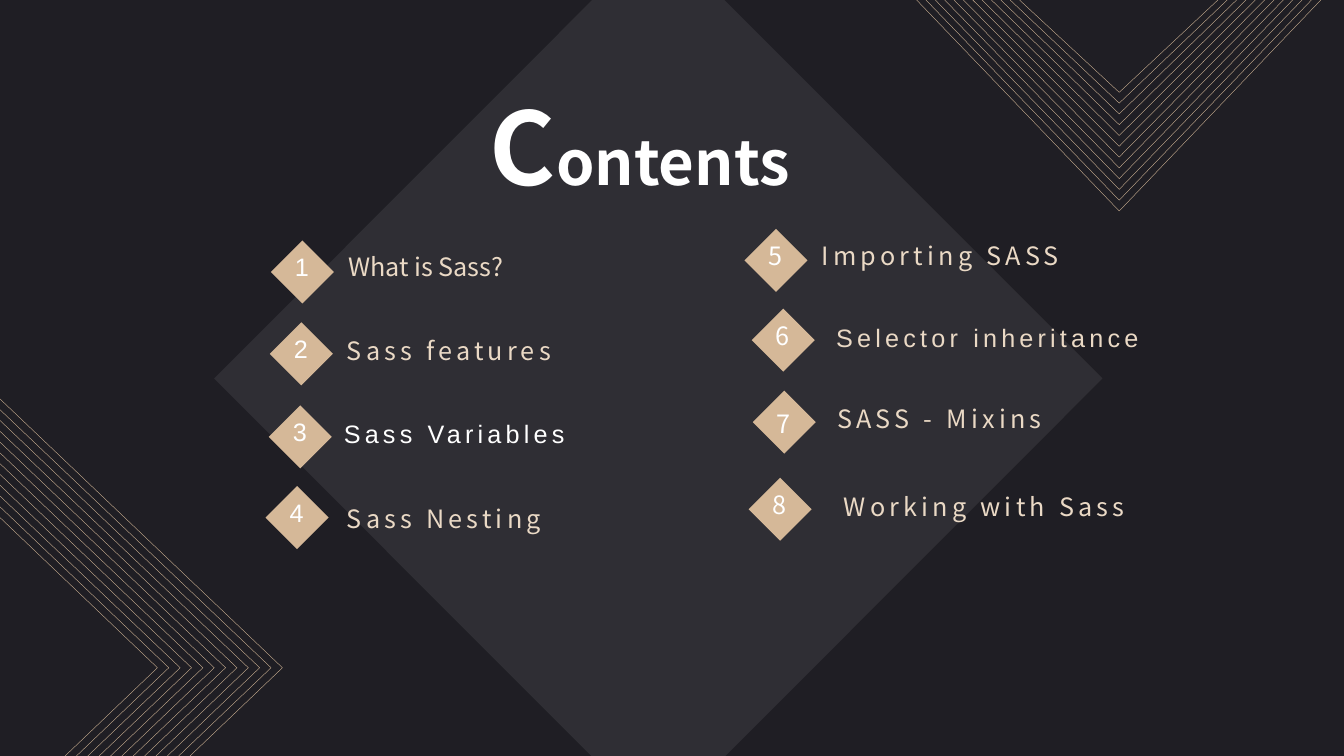
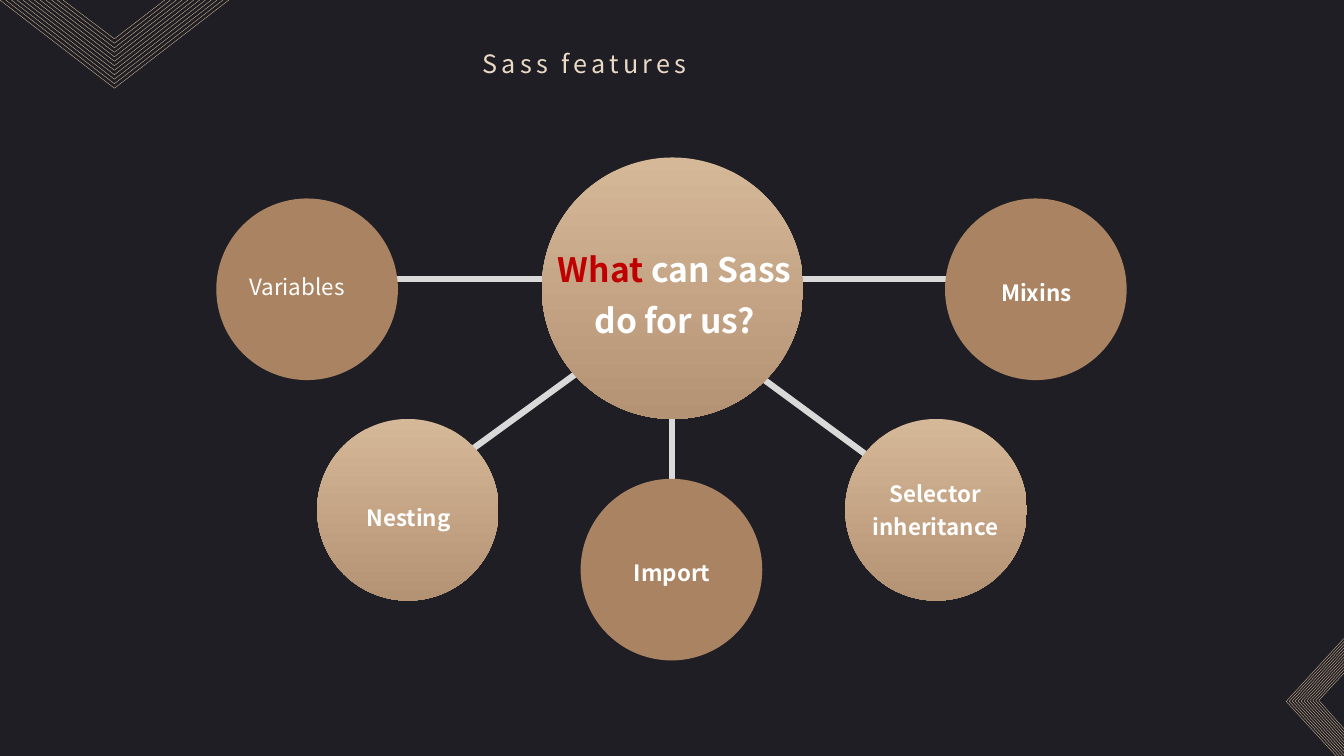
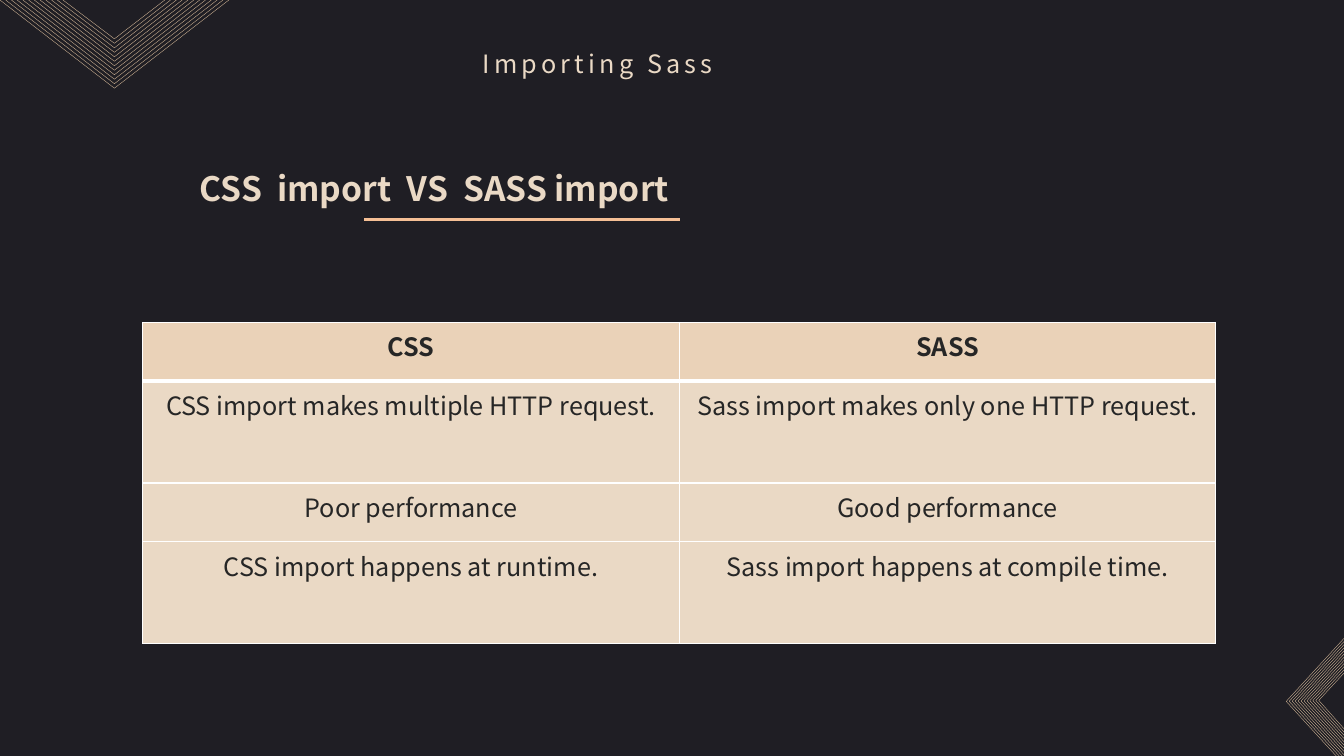
from dataclasses import dataclass

import lxml.etree
import pptx
import pptx.dml.color
import pptx.enum.shapes
import pptx.enum.text
import pptx.oxml.ns
import pptx.util

ALIGN = pptx.enum.text.PP_ALIGN
SHAPE = pptx.enum.shapes.MSO_SHAPE
qn = pptx.oxml.ns.qn


@dataclass(frozen=True)
class Theme:
    background: str = "1F1E24"
    white: str = "FFFFFF"
    cream: str = "EAD9C5"
    sand: str = "D5B898"
    tan: str = "B49374"
    brown: str = "AA8462"
    mist: str = "EEEEF0"
    spoke: str = "D9D9D9"
    accent: str = "C00000"
    underline: str = "F5BF95"
    header: str = "EAD2B8"
    ink: str = "262626"
    sans: str = "Noto Sans CJK SC"
    arial: str = "Arial"
    initial: int = 72
    display: int = 44
    heading: int = 24
    body: int = 18
    label: int = 16


THEME = Theme()


@dataclass(frozen=True)
class Entry:
    left: int
    top: int
    text: str
    label_box: tuple
    number_font: str = THEME.sans
    font: str = THEME.sans
    color: str = THEME.cream
    spacing: int = 3
    align: int = ALIGN.LEFT
    line_spacing: float = 1.0
    number_top: int = 6


@dataclass(frozen=True)
class Satellite:
    left: int
    top: int
    text: str
    label_box: tuple
    shaded: bool = False
    bold: bool = True
    align: int = ALIGN.CENTER
    line_spacing: float = 1.25


ENTRIES = (
    Entry(258, 229, "What is Sass?", (64, 6, 321, 68), THEME.arial, spacing=0),
    Entry(257, 307, "Sass features", (64, 8, 321, 68), THEME.arial),
    Entry(256, 386, "Sass Variables", (62, -7, 258, 97), THEME.arial,
          font=THEME.arial, color=THEME.white, line_spacing=1.5),
    Entry(253, 463, "Sass Nesting", (68, 12, 292, 38), THEME.arial),
    Entry(709, 218, "Importing SASS", (64, 6, 321, 68)),
    Entry(716, 294, "Selector inheritance", (64, 8, 321, 84),
          font=THEME.arial, align=ALIGN.CENTER),
    Entry(717, 372, "SASS - Mixins", (71, -7, 258, 113),
          line_spacing=1.5, number_top=12),
    Entry(713, 455, "Working with Sass", (64, 8, 321, 38), align=ALIGN.CENTER),
)

SATELLITES = (
    Satellite(900, 189, "Mixins", (16, 66, 142, 39)),
    Satellite(206, 189, "Variables", (22, 66, 142, 39),
              bold=False, align=ALIGN.LEFT, line_spacing=1.0),
    Satellite(553, 456, "Import", (16, 65, 142, 39)),
    Satellite(805, 399, "Selector inheritance", (15, 47, 142, 71), shaded=True),
    Satellite(302, 399, "Nesting", (16, 70, 142, 39), shaded=True),
)

SPOKES = (
    (640, 275, 640, 574),
    (682, 328, 901, 489),
    (378, 480, 598, 320),
    (302, 266, 977, 266),
)

COMPARISON = (
    ("CSS", "SASS"),
    ("CSS import makes multiple HTTP request.", "Sass import makes only one HTTP request."),
    ("Poor performance", "Good performance"),
    ("CSS import happens at runtime.", "Sass import happens at compile time."),
)


def px(length):
    return pptx.util.Emu(round(length * 9525))


def rgb(color):
    return pptx.dml.color.RGBColor.from_string(color)


def inside(box, offset):
    return box[0] + offset[0], box[1] + offset[1], offset[2], offset[3]


def add_run(paragraph, text, size, color, bold=False, font=THEME.sans, spacing=0):
    run = paragraph.add_run()
    run.text = text
    run.font.name = font
    run.font.size = pptx.util.Pt(size)
    run.font.bold = bold
    run.font.color.rgb = rgb(color)
    if spacing:
        run._r.get_or_add_rPr().set("spc", str(spacing * 100))


def prepare_frame(shape, align, line_spacing=1.0, wrap=True):
    frame = shape.text_frame
    frame.word_wrap = wrap
    frame.auto_size = pptx.enum.text.MSO_AUTO_SIZE.NONE
    frame.vertical_anchor = pptx.enum.text.MSO_ANCHOR.TOP
    paragraph = frame.paragraphs[0]
    paragraph.alignment = align
    paragraph.line_spacing = line_spacing
    return paragraph


def add_text(shapes, box, align=ALIGN.LEFT, line_spacing=1.0):
    return prepare_frame(shapes.add_textbox(*map(px, box)), align, line_spacing)


def place_title(slide, box, wrap=True):
    title = slide.shapes.title
    title.left, title.top, title.width, title.height = map(px, box)
    return prepare_frame(title, ALIGN.LEFT, wrap=wrap)


def add_plain_shape(shapes, kind, box, color, opacity=None):
    shape = shapes.add_shape(kind, *map(px, box))
    shape.shadow.inherit = False
    shape.line.fill.background()
    shape.fill.solid()
    shape.fill.fore_color.rgb = rgb(color)
    if opacity is not None:
        color_element = shape._element.spPr.find(".//" + qn("a:srgbClr"))
        lxml.etree.SubElement(color_element, qn("a:alpha"), val=str(opacity * 1000))
    return shape


def shade(shape):
    shape.fill.gradient()
    shape.fill.gradient_angle = 270
    for position, (stop, color) in enumerate(zip(shape.fill.gradient_stops, (THEME.sand, THEME.tan))):
        stop.position = position
        stop.color.rgb = rgb(color)


def add_line(slide, ends, color, width):
    line = slide.shapes.add_connector(pptx.enum.shapes.MSO_CONNECTOR.STRAIGHT, *map(px, ends))
    line.line.color.rgb = rgb(color)
    line.line.width = pptx.util.Pt(width)
    lxml.etree.SubElement(line._element.spPr, qn("a:effectLst"))


def add_chevron(slide, left, top, outer, inner, count=12):
    builder = None
    for index in range(count):
        share = index / (count - 1)
        points = [
            (px(left + x + (inner_x - x) * share), px(top + y + (inner_y - y) * share))
            for (x, y), (inner_x, inner_y) in zip(outer, inner)
        ]
        if builder is None:
            builder = slide.shapes.build_freeform(*points[0], scale=1.0)
        else:
            builder.move_to(*points[0])
        builder.add_line_segments(points[1:], close=False)
    chevron = builder.convert_to_shape()
    chevron.shadow.inherit = False
    chevron.fill.background()
    chevron.line.color.rgb = rgb(THEME.sand)
    chevron.line.width = pptx.util.Pt(0.25)


def add_entry(slide, number, entry):
    group = slide.shapes.add_group_shape().shapes
    box = (entry.left, entry.top, 60, 60)
    add_plain_shape(group, SHAPE.DIAMOND, box, THEME.sand)
    paragraph = add_text(group, inside(box, (11, entry.number_top, 37, 38)), ALIGN.CENTER)
    add_run(paragraph, str(number), THEME.body, THEME.white, font=entry.number_font)
    paragraph = add_text(group, inside(box, entry.label_box), entry.align, entry.line_spacing)
    add_run(paragraph, entry.text, THEME.body, entry.color, font=entry.font, spacing=entry.spacing)


def add_satellite(slide, satellite):
    box = (satellite.left, satellite.top, 173, 173)
    circle = add_plain_shape(slide.shapes, SHAPE.OVAL, box, THEME.brown)
    if satellite.shaded:
        shade(circle)
    paragraph = add_text(slide.shapes, inside(box, satellite.label_box),
                         satellite.align, satellite.line_spacing)
    add_run(paragraph, satellite.text, THEME.label, THEME.white, bold=satellite.bold)


def add_hub(slide, box):
    shade(add_plain_shape(slide.shapes, SHAPE.OVAL, box, THEME.sand))
    paragraph = add_text(slide.shapes, inside(box, (-1, 73, 255, 107)), ALIGN.CENTER, 1.25)
    add_run(paragraph, "What", THEME.heading, THEME.accent, bold=True)
    add_run(paragraph, " can Sass do for us?", THEME.heading, THEME.white, bold=True)


def style_cell(cell, text, is_header):
    properties = cell._tc.get_or_add_tcPr()
    for side in "LRTB":
        width = pptx.util.Pt(3 if is_header and side == "B" else 1)
        border = lxml.etree.SubElement(properties, qn("a:ln" + side), w=str(width))
        fill = lxml.etree.SubElement(border, qn("a:solidFill"))
        lxml.etree.SubElement(fill, qn("a:srgbClr"), val=THEME.white)
    cell.fill.solid()
    cell.fill.fore_color.rgb = rgb(THEME.header if is_header else THEME.cream)
    paragraph = cell.text_frame.paragraphs[0]
    paragraph.alignment = ALIGN.CENTER
    add_run(paragraph, text, THEME.body, THEME.ink, bold=is_header)


def add_comparison(slide, box, row_heights):
    table = slide.shapes.add_table(len(COMPARISON), 2, *map(px, box)).table
    table.horz_banding = False
    for column in table.columns:
        column.width = px(box[2] / 2)
    for row_index, (texts, height) in enumerate(zip(COMPARISON, row_heights)):
        table.rows[row_index].height = px(height)
        for column_index, text in enumerate(texts):
            style_cell(table.cell(row_index, column_index), text, row_index == 0)


def new_slide(presentation):
    return presentation.slides.add_slide(presentation.slide_layouts[5])


def new_topic_slide(presentation, title):
    slide = new_slide(presentation)
    add_chevron(slide, 0, 0, ((0, 0), (109, 84), (218, 0)), ((60, 0), (109, 37), (157, 0)))
    add_chevron(slide, 1225, 608, ((55, 0), (0, 60), (55, 120)), ((55, 33), (31, 59), (55, 86)))
    paragraph = place_title(slide, (450, 41, 361, 38))
    add_run(paragraph, title, THEME.body, THEME.cream, spacing=3)
    return slide


def build_contents(presentation):
    slide = new_slide(presentation)
    add_chevron(slide, 0, 380, ((0, 0), (269, 256), (181, 340)), ((0, 113), (150, 256), (62, 340)))
    add_chevron(slide, 873, 0, ((0, 0), (193, 201), (385, 0)), ((98, 0), (193, 88), (287, 0)))
    add_plain_shape(slide.shapes, SHAPE.DIAMOND, (204, -63, 846, 847), THEME.mist, opacity=8)
    paragraph = place_title(slide, (457, 76, 313, 126), wrap=False)
    add_run(paragraph, "C", THEME.initial, THEME.white, bold=True)
    add_run(paragraph, "ontents", THEME.display, THEME.white, bold=True)
    slide.shapes._spTree.append(slide.shapes.title._element)
    for number, entry in enumerate(ENTRIES, 1):
        add_entry(slide, number, entry)


def build_features(presentation):
    slide = new_topic_slide(presentation, "Sass features")
    for ends in SPOKES:
        add_line(slide, ends, THEME.spoke, 4.5)
    add_hub(slide, (516, 150, 249, 249))
    for satellite in SATELLITES:
        add_satellite(slide, satellite)


def build_importing(presentation):
    slide = new_topic_slide(presentation, "Importing Sass")
    add_comparison(slide, (136, 307, 1022, 306), (56, 97, 56, 97))
    paragraph = add_text(slide.shapes, (114, 155, 599, 48), ALIGN.CENTER)
    add_run(paragraph, "CSS  import  VS  SASS import", THEME.heading, THEME.cream, bold=True)
    add_line(slide, (347, 209, 648, 209), THEME.underline, 2)


def main():
    presentation = pptx.Presentation()
    presentation.slide_width = px(1280)
    presentation.slide_height = px(720)
    background = presentation.slide_master.background.fill
    background.solid()
    background.fore_color.rgb = rgb(THEME.background)
    build_contents(presentation)
    build_features(presentation)
    build_importing(presentation)
    presentation.save("out.pptx")


if __name__ == "__main__":
    main()
